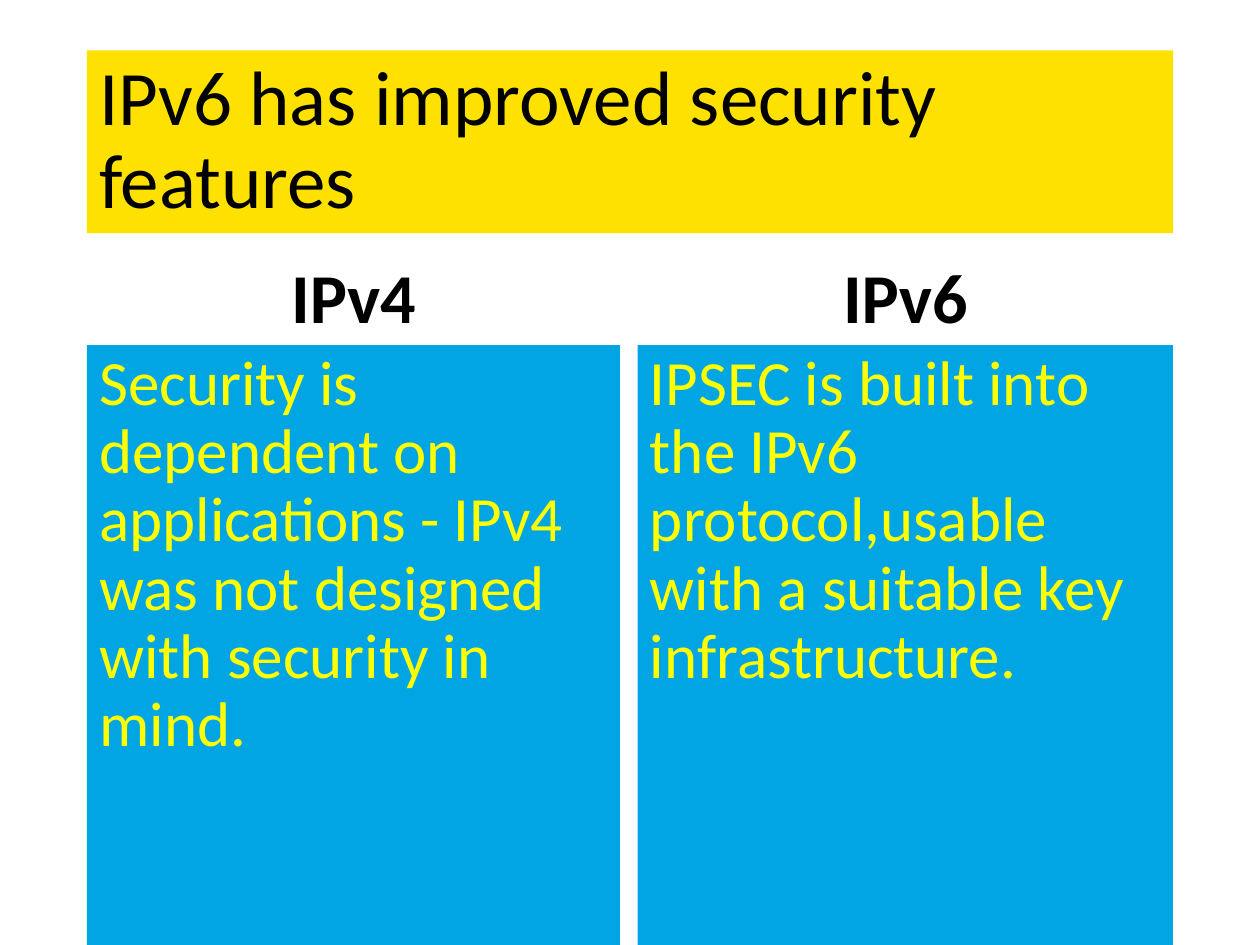
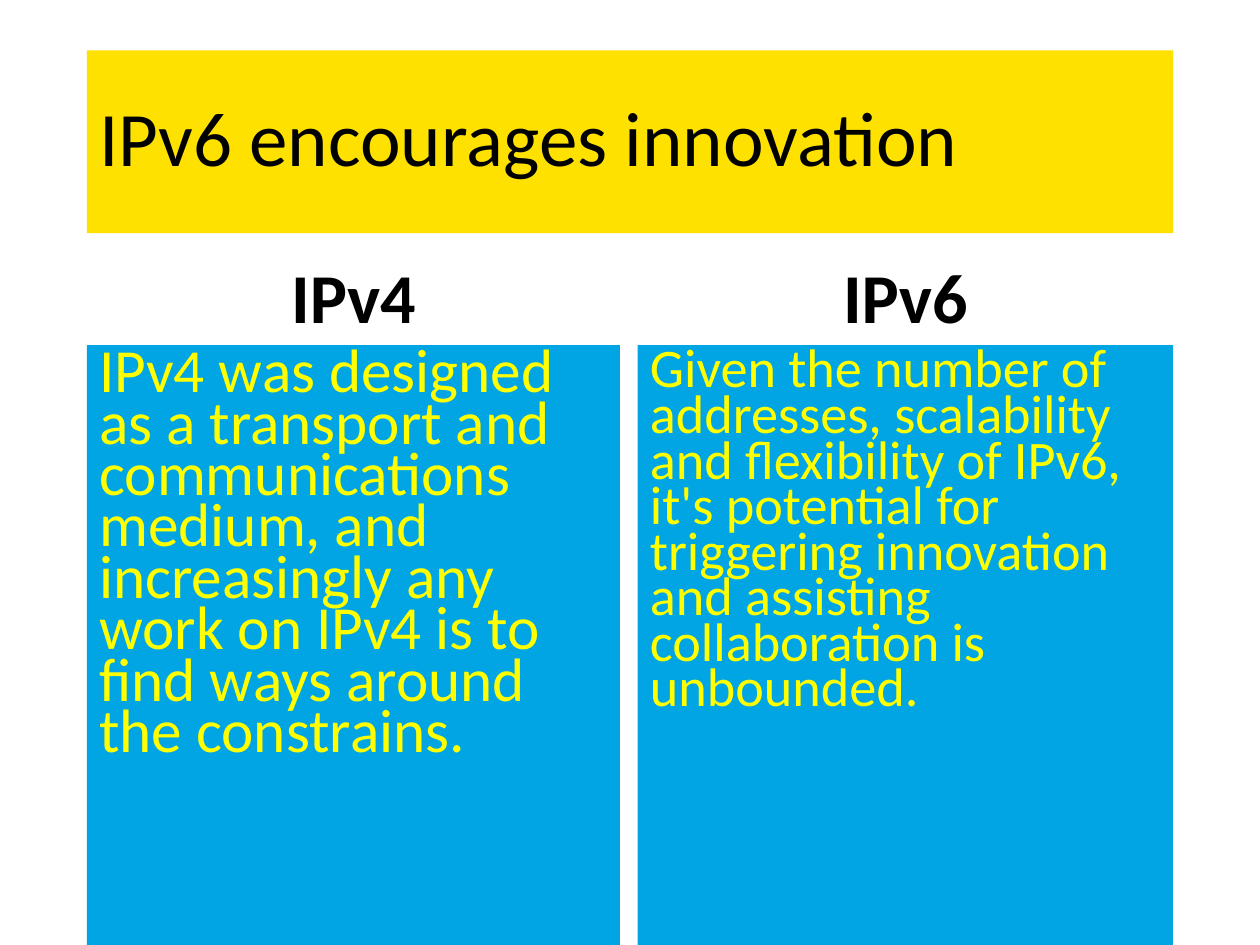
from dataclasses import dataclass
from typing import NamedTuple, Optional

from pptx import Presentation
from pptx.dml.color import RGBColor
from pptx.enum.shapes import MSO_SHAPE
from pptx.enum.text import MSO_ANCHOR, PP_ALIGN
from pptx.slide import Slide
from pptx.util import Inches, Pt


@dataclass(frozen=True)
class Theme:
    font: str = "Calibri"
    black: RGBColor = RGBColor(0x00, 0x00, 0x00)
    title_fill: RGBColor = RGBColor(0xFF, 0xE1, 0x00)
    panel_fill: RGBColor = RGBColor(0x02, 0xA5, 0xE3)
    panel_text: RGBColor = RGBColor(0xFF, 0xFF, 0x00)
    title_size: int = 44
    heading_size: int = 40


THEME = Theme()


class Box(NamedTuple):
    left: float
    top: float
    width: float
    height: float


class Column(NamedTuple):
    heading: str
    left: float
    width: float


class Panel(NamedTuple):
    text: str
    size: int
    line_spacing: float


class Comparison(NamedTuple):
    title: str
    panels: tuple[Panel, Panel]


TITLE_BOX = Box(0.69, 0.4, 8.62, 1.45)
HEADING_TOP, HEADING_HEIGHT = 1.84, 0.9
PANEL_TOP, PANEL_HEIGHT = 2.74, 4.76
COLUMNS = (Column("IPv4", 0.69, 4.23), Column("IPv6", 5.06, 4.25))

COMPARISONS = (
    Comparison("IPv6 has improved security features", (
        Panel("Security is dependent on applications - IPv4 was not designed "
              "with security in mind.", 36, 0.9),
        Panel("IPSEC is built into the IPv6 protocol,usable with a suitable "
              "key infrastructure.", 36, 0.9),
    )),
    Comparison("IPv6 encourages innovation", (
        Panel("IPv4 was designed as a transport and communications medium, "
              "and increasingly any work on IPv4 is to find ways around the "
              "constrains.", 35, 0.7),
        Panel("Given the number of addresses, scalability and flexibility of "
              "IPv6, it's potential for triggering innovation and assisting "
              "collaboration is unbounded.", 31, 0.7),
    )),
)


def add_text(slide: Slide, box: Box, text: str, size: int,
             color: RGBColor = THEME.black,
             fill: Optional[RGBColor] = None,
             anchor: MSO_ANCHOR = MSO_ANCHOR.TOP,
             align: PP_ALIGN = PP_ALIGN.LEFT,
             bold: bool = False,
             line_spacing: float = 0.9,
             space_before: int = 10) -> None:
    """Add one paragraph, in a filled rectangle if a fill is given."""
    place = [Inches(length) for length in box]
    if fill is None:
        sp = slide.shapes.add_textbox(*place)
    else:
        sp = slide.shapes.add_shape(MSO_SHAPE.RECTANGLE, *place)
        sp.shadow.inherit = False
        sp.fill.solid()
        sp.fill.fore_color.rgb = fill
        sp.line.fill.background()
    tf = sp.text_frame
    tf.word_wrap = True
    tf.vertical_anchor = anchor
    p = tf.paragraphs[0]
    p.text = text
    p.alignment = align
    p.line_spacing = line_spacing
    p.space_before = Pt(space_before)
    p.font.name = THEME.font
    p.font.size = Pt(size)
    p.font.bold = bold
    p.font.color.rgb = color


def add_column(slide: Slide, column: Column, panel: Panel) -> None:
    add_text(slide, Box(column.left, HEADING_TOP, column.width, HEADING_HEIGHT),
             column.heading, THEME.heading_size, bold=True,
             anchor=MSO_ANCHOR.BOTTOM, align=PP_ALIGN.CENTER)
    add_text(slide, Box(column.left, PANEL_TOP, column.width, PANEL_HEIGHT),
             panel.text, panel.size, color=THEME.panel_text,
             fill=THEME.panel_fill, line_spacing=panel.line_spacing)


def add_comparison(prs: Presentation, comparison: Comparison) -> None:
    slide = prs.slides.add_slide(prs.slide_layouts[6])
    add_text(slide, TITLE_BOX, comparison.title, THEME.title_size,
             fill=THEME.title_fill, anchor=MSO_ANCHOR.MIDDLE, space_before=0)
    for column, panel in zip(COLUMNS, comparison.panels):
        add_column(slide, column, panel)


def main() -> None:
    prs = Presentation()
    prs.slide_width, prs.slide_height = Inches(10), Inches(7.5)
    for comparison in COMPARISONS:
        add_comparison(prs, comparison)
    prs.save("out.pptx")


if __name__ == "__main__":
    main()
